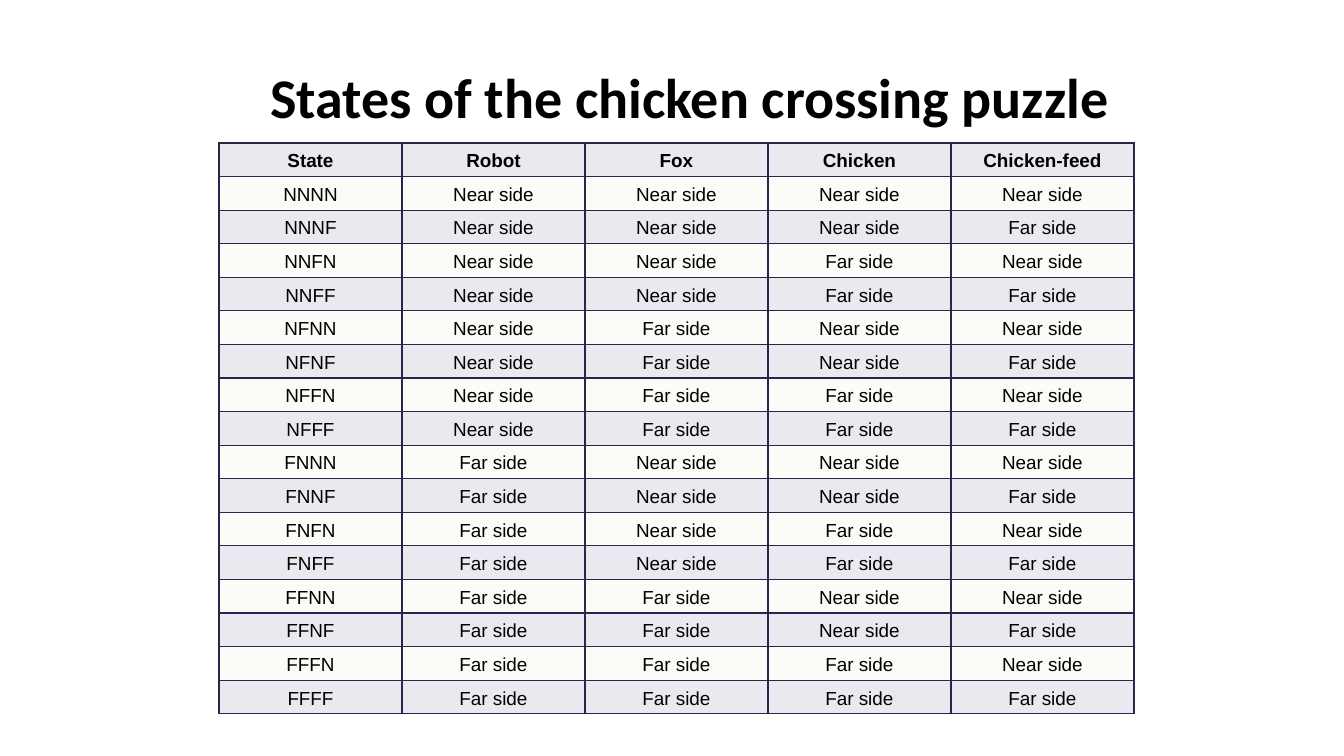
from dataclasses import dataclass
from itertools import product

from lxml import etree
from pptx import Presentation
from pptx.dml.color import RGBColor
from pptx.enum.text import MSO_ANCHOR, PP_ALIGN
from pptx.oxml.ns import qn
from pptx.util import Pt

TITLE = "States of the chicken crossing puzzle"
HEADINGS = ["State", "Robot", "Fox", "Chicken", "Chicken-feed"]
SIDES = {"N": "Near side", "F": "Far side"}

EMU_PER_PX = 914400 / 100.8
SLIDE_SIZE = (1344, 756)
TITLE_BOX = (202, 33, 975, 126)
TABLE_BOX = (219, 143, 915, 571)

MIDDLE = MSO_ANCHOR.MIDDLE
CENTER = PP_ALIGN.CENTER
EDGES = ("a:lnL", "a:lnR", "a:lnT", "a:lnB")


@dataclass(frozen=True)
class Theme:
    ink: str = "000000"
    border: str = "29264C"
    bands: tuple = ("EBE9EF", "FCFBF8")
    title_font: str = "Calibri"
    table_font: str = "Arial"
    title_size: float = 40
    table_size: float = 13.5
    border_width: float = 1
    line_spacing: float = 1.15


THEME = Theme()


def px(length):
    return round(length * EMU_PER_PX)


def style(paragraph, font_name, size, bold):
    paragraph.alignment = CENTER
    font = paragraph.font
    font.name = font_name
    font.size = Pt(size)
    font.bold = bold
    font.color.rgb = RGBColor.from_string(THEME.ink)


def add_borders(cell):
    properties = cell._tc.get_or_add_tcPr()
    for edge in EDGES:
        line = etree.SubElement(properties, qn(edge), w=str(Pt(THEME.border_width)))
        fill = etree.SubElement(line, qn("a:solidFill"))
        etree.SubElement(fill, qn("a:srgbClr"), val=THEME.border)


def fill_cell(cell, text, band, bold):
    cell.text = text
    cell.vertical_anchor = MIDDLE
    cell.margin_left = cell.margin_right = cell.margin_top = cell.margin_bottom = 0
    paragraph = cell.text_frame.paragraphs[0]
    paragraph.line_spacing = THEME.line_spacing
    style(paragraph, THEME.table_font, THEME.table_size, bold)
    add_borders(cell)
    cell.fill.solid()
    cell.fill.fore_color.rgb = RGBColor.from_string(band)


def add_title(slide):
    frame = slide.shapes.add_textbox(*map(px, TITLE_BOX)).text_frame
    frame.word_wrap = True
    frame.vertical_anchor = MIDDLE
    frame.text = TITLE
    style(frame.paragraphs[0], THEME.title_font, THEME.title_size, True)


def add_states(slide):
    states = product(SIDES, repeat=len(HEADINGS) - 1)
    rows = [HEADINGS] + [
        ["".join(state), *(SIDES[side] for side in state)] for state in states
    ]
    table = slide.shapes.add_table(len(rows), len(HEADINGS), *map(px, TABLE_BOX)).table
    table.first_row = False
    table.horz_banding = False
    for row_index, row in enumerate(rows):
        band = THEME.bands[row_index % 2]
        for column_index, text in enumerate(row):
            fill_cell(table.cell(row_index, column_index), text, band, row_index == 0)


def main():
    deck = Presentation()
    deck.slide_width, deck.slide_height = map(px, SLIDE_SIZE)
    slide = deck.slides.add_slide(deck.slide_layouts[6])
    add_title(slide)
    add_states(slide)
    deck.save("out.pptx")


if __name__ == "__main__":
    main()
